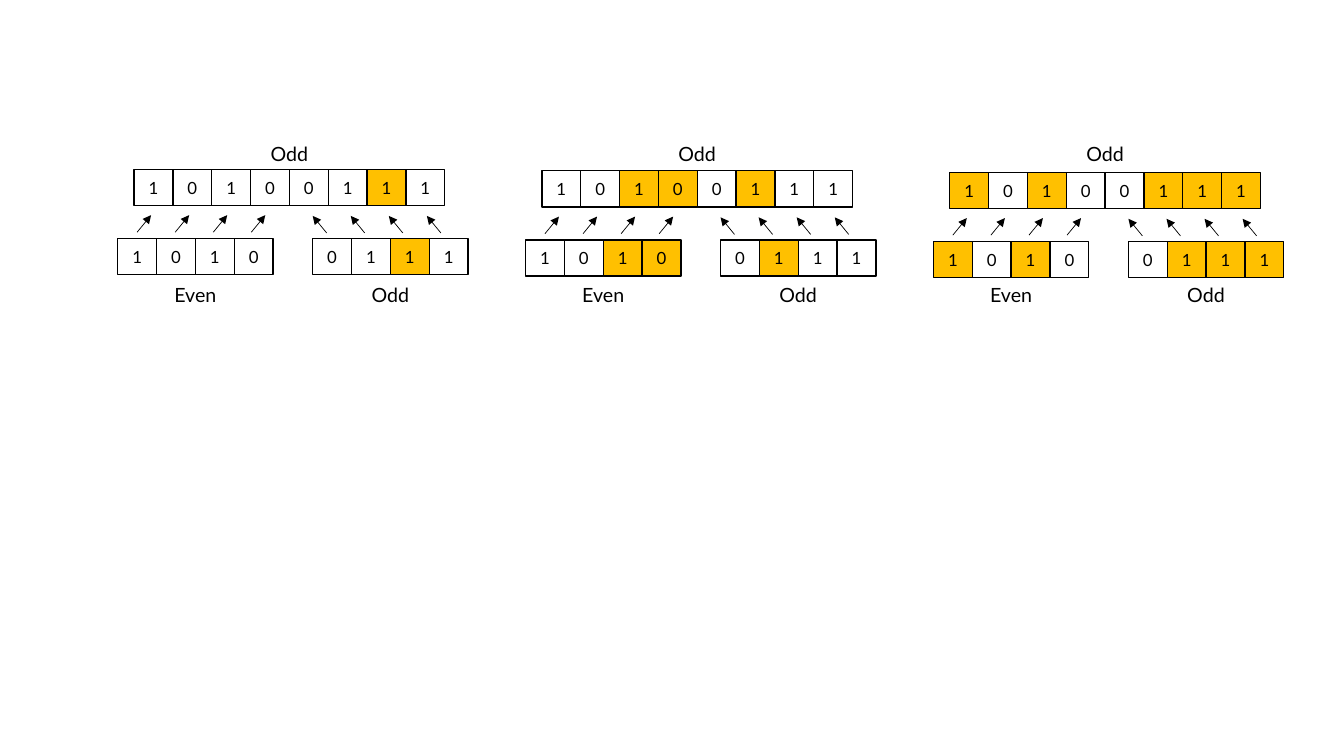
from pptx import Presentation
from pptx.dml.color import RGBColor
from pptx.enum.shapes import MSO_CONNECTOR as Line, MSO_SHAPE as Shape
from pptx.enum.text import MSO_ANCHOR as Anchor, PP_ALIGN as Align
from pptx.oxml.ns import qn
from pptx.util import Inches, Pt
from lxml.etree import SubElement

WIDE, HIGH = 13.33, 7.5
COLS, ROWS = 34.6, 20.8  # one grid unit is one bit cell


def paint(code):
    return RGBColor.from_string(code)


class Board:
    font, ink, mark = "Lato", "000000", "FFC000"

    def __init__(self, slide):
        self.slide = slide
        self.items = slide.shapes

    def group(self):
        self.items = self.slide.shapes.add_group_shape().shapes

    def leave(self):
        self.items = self.slide.shapes

    def x(self, col):
        return Inches(col * WIDE / COLS)

    def y(self, row):
        return Inches(row * HIGH / ROWS)

    def box(self, col, row, wide, high):
        return self.x(col), self.y(row), self.x(wide), self.y(high)

    def letter(self, shape, text, size):
        frame = shape.text_frame
        frame.word_wrap = True
        frame.vertical_anchor = Anchor.MIDDLE
        frame.margin_left = frame.margin_right = 0
        frame.margin_top = frame.margin_bottom = 0
        para = frame.paragraphs[0]
        para.alignment = Align.CENTER
        run = para.add_run()
        run.text = text
        run.font.name = self.font
        run.font.size = Pt(size)
        run.font.color.rgb = paint(self.ink)

    def label(self, text, col, row, wide):
        shape = self.items.add_textbox(*self.box(col, row, wide, 1.39))
        self.letter(shape, text, 14)

    def cell(self, bit, col, row, lit):
        shape = self.items.add_shape(Shape.RECTANGLE, *self.box(col, row, 1, 1))
        shape.shadow.inherit = False
        if lit:
            shape.fill.solid()
            shape.fill.fore_color.rgb = paint(self.mark)
        else:
            shape.fill.background()
        shape.line.color.rgb = paint(self.ink)
        shape.line.width = Pt(1)
        self.letter(shape, bit, 12)

    def strip(self, bits, lit, col, row):
        for i, bit in enumerate(bits):
            self.cell(bit, col + i, row, i in lit)

    def arrow(self, col, row, lean):
        line = self.items.add_connector(
            Line.STRAIGHT, self.x(col), self.y(row),
            self.x(col + lean), self.y(row - 0.47))
        line.line.color.rgb = paint(self.ink)
        line.line.width = Pt(0.5)
        props = line.element.spPr
        SubElement(props.find(qn("a:ln")), qn("a:tailEnd"), type="triangle")
        SubElement(props, qn("a:effectLst"))

    def arrows(self, col, row, lean):
        for i in range(4):
            self.arrow(col + 0.98 * i, row, lean)


deck = Presentation()
deck.slide_width, deck.slide_height = Inches(WIDE), Inches(HIGH)
board = Board(deck.slides.add_slide(deck.slide_layouts[6]))

BITS = "10100111"
LIT = [{6}, {2, 3, 5}, {0, 2, 5, 6, 7}]  # marked bits of each merge
EVEN, ODD = -0.42, 4.6  # offsets of the two halves

for n, lit in enumerate(LIT):
    col, row = 3.45 + 10.5 * n, 4.66 + 0.04 * n

    # Whole word above its two halves
    board.group()
    board.strip(BITS, lit, col, row)
    board.strip(BITS[:4], lit, col + EVEN, row + 1.9)
    board.strip(BITS[4:], {i - 4 for i in lit}, col + ODD, row + 1.9)

    # Arrows from the halves to the word
    board.arrows(col + 4.96, row + 1.75, -0.36)
    board.arrows(col + 0.08, row + 1.73, 0.36)
    board.leave()

    # Parity labels
    board.label("Odd", col, 3.52, 8)
    board.label("Even", col + EVEN, 7.42, 4)
    board.label("Odd", col + ODD, 7.42, 4)

deck.save("out.pptx")
